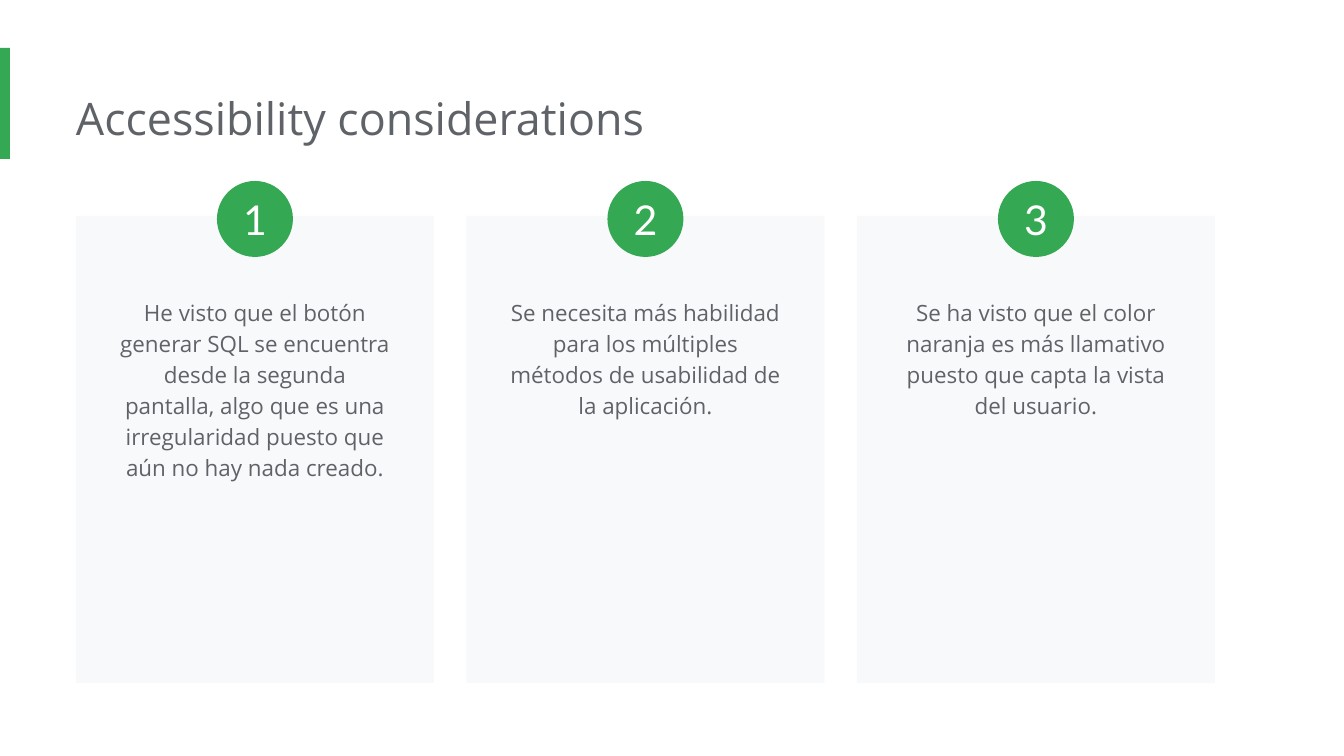
from pptx import Presentation
from pptx.dml.color import RGBColor
from pptx.enum.shapes import MSO_SHAPE
from pptx.enum.text import MSO_ANCHOR, MSO_AUTO_SIZE, PP_ALIGN
from pptx.util import Emu, Inches, Pt

TITLE = "Accessibility considerations"
CONSIDERATIONS = [
    "He visto que el botón generar SQL se encuentra desde la segunda pantalla, "
    "algo que es una irregularidad puesto que aún no hay nada creado.",
    "Se necesita más habilidad para los múltiples métodos de usabilidad de la aplicación.",
    "Se ha visto que el color naranja es más llamativo puesto que capta la vista del usuario.",
]

GREEN = RGBColor(0x34, 0xA8, 0x53)
GRAY = RGBColor(0x5F, 0x63, 0x68)
PALE = RGBColor(0xF8, 0xF9, 0xFA)
WHITE = RGBColor(0xFF, 0xFF, 0xFF)

TITLE_FONT = {"name": "Open Sans", "size": Pt(24), "color": GRAY}
BODY_FONT = {"name": "Open Sans", "size": Pt(12), "color": GRAY}
NUMBER_FONT = {"name": "Lato", "size": Pt(22), "color": WHITE}

# Layout in px
SLIDE_WIDTH, SLIDE_HEIGHT = 1344, 756
EMU_PER_PX = Inches(10) / SLIDE_WIDTH
MARGIN, CARDS_RIGHT = 76, 1215
CARD_TOP, CARD_WIDTH, CARD_HEIGHT = 216, 358, 467
BODY_TOP, BODY_WIDTH, BODY_HEIGHT = 282, 301, 211
BADGE_TOP, BADGE_SIZE = 181, 76
CARD_STEP = (CARDS_RIGHT - MARGIN - CARD_WIDTH) / (len(CONSIDERATIONS) - 1)


def px(*lengths):
    return [Emu(round(length * EMU_PER_PX)) for length in lengths]


def add_filled(slide, kind, box, color):
    shape = slide.shapes.add_shape(kind, *px(*box))
    shape.shadow.inherit = False
    shape.fill.solid()
    shape.fill.fore_color.rgb = color
    shape.line.fill.background()
    return shape


def write(shape, text, font, align, anchor, insets, line_spacing=1.0):
    frame = shape.text_frame
    frame.text = text
    left, top, right, bottom = (Inches(inset) for inset in insets)
    frame_format = {
        "word_wrap": True, "auto_size": MSO_AUTO_SIZE.NONE, "vertical_anchor": anchor,
        "margin_left": left, "margin_top": top,
        "margin_right": right, "margin_bottom": bottom,
    }
    for name, value in frame_format.items():
        setattr(frame, name, value)
    paragraph = frame.paragraphs[0]
    paragraph.alignment = align
    paragraph.line_spacing = line_spacing
    run_font = paragraph.runs[0].font
    for name, value in font.items():
        if name == "color":
            run_font.color.rgb = value
        else:
            setattr(run_font, name, value)


def main():
    presentation = Presentation()
    presentation.slide_width, presentation.slide_height = px(SLIDE_WIDTH, SLIDE_HEIGHT)
    slide = presentation.slides.add_slide(presentation.slide_layouts[5])

    # Accent bar and title
    add_filled(slide, MSO_SHAPE.RECTANGLE, (0, 48, 10, 111), GREEN)
    title = slide.shapes.title
    title.left, title.top, title.width, title.height = px(MARGIN, 77, 1030, 82)
    write(title, TITLE, TITLE_FONT, PP_ALIGN.LEFT, MSO_ANCHOR.TOP, (0, 0.1, 0.1, 0.1))

    # Numbered cards
    for index, text in enumerate(CONSIDERATIONS):
        left = MARGIN + index * CARD_STEP
        center = left + CARD_WIDTH / 2
        add_filled(slide, MSO_SHAPE.RECTANGLE,
                   (left, CARD_TOP, CARD_WIDTH, CARD_HEIGHT), PALE)
        body = slide.shapes.add_textbox(
            *px(center - BODY_WIDTH / 2, BODY_TOP, BODY_WIDTH, BODY_HEIGHT))
        write(body, text, BODY_FONT, PP_ALIGN.CENTER, MSO_ANCHOR.TOP, (0.1,) * 4, 1.15)
        badge = add_filled(slide, MSO_SHAPE.OVAL,
                           (center - BADGE_SIZE / 2, BADGE_TOP, BADGE_SIZE, BADGE_SIZE), GREEN)
        write(badge, str(index + 1), NUMBER_FONT, PP_ALIGN.CENTER, MSO_ANCHOR.MIDDLE, (0,) * 4)

    presentation.save("out.pptx")


if __name__ == "__main__":
    main()
